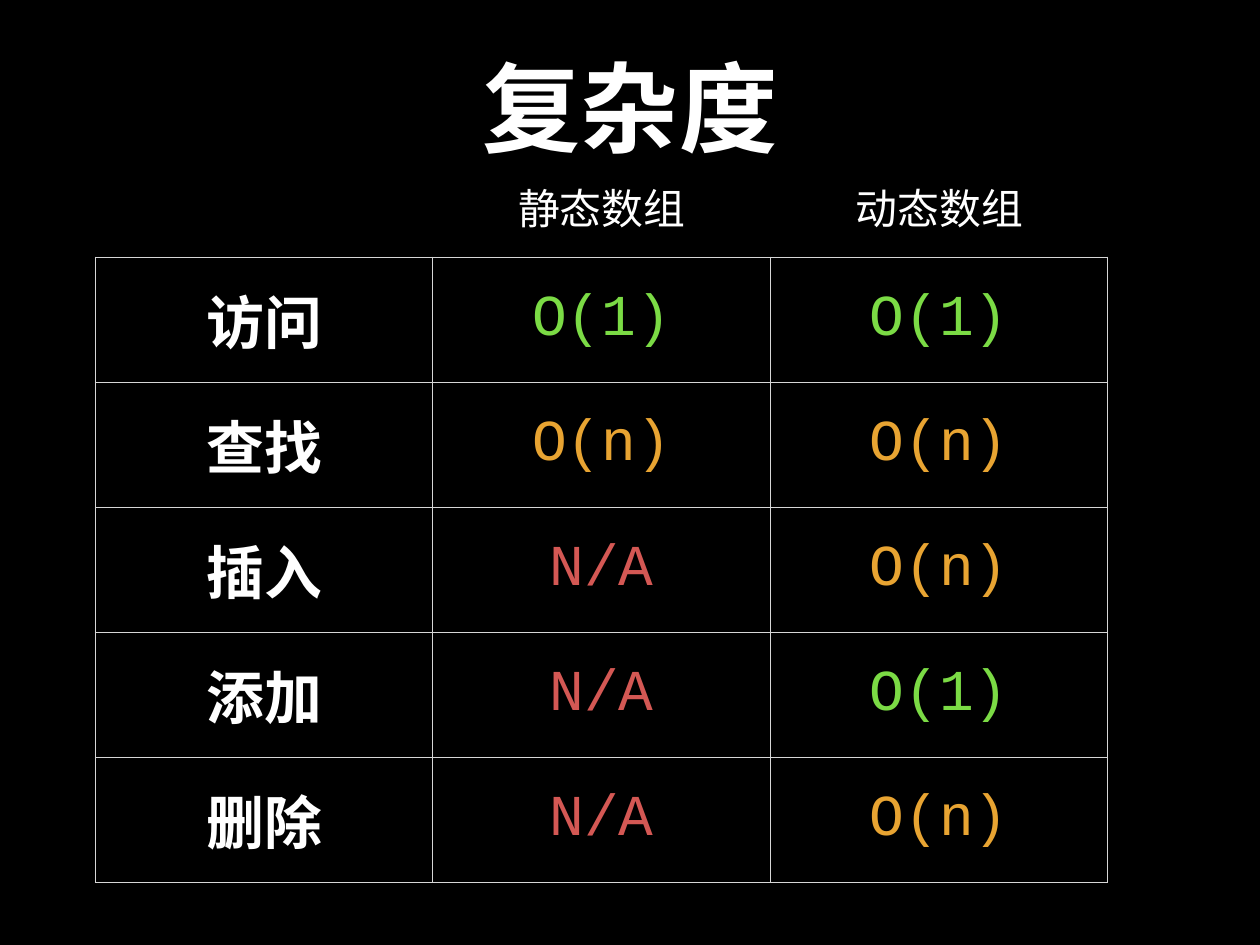
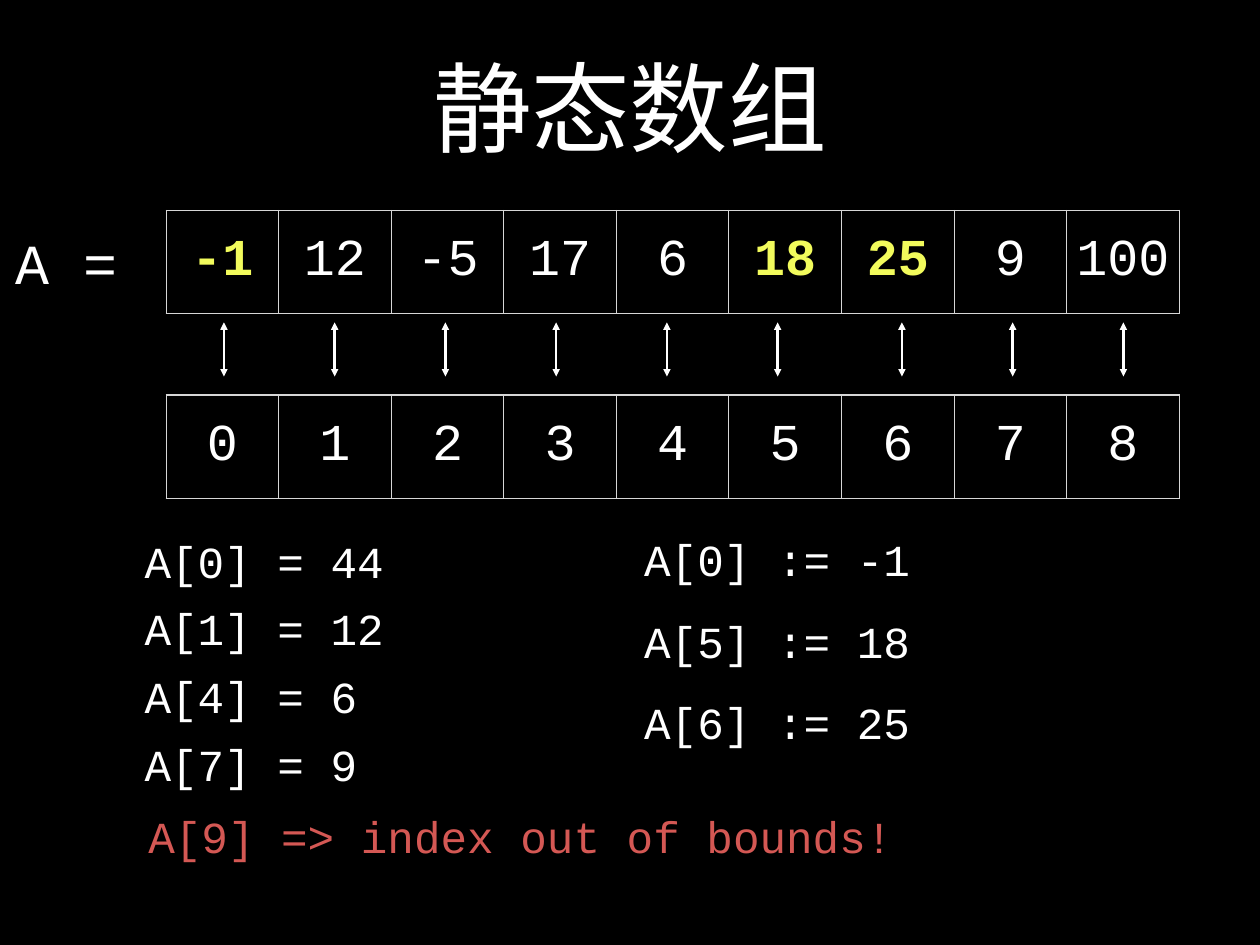
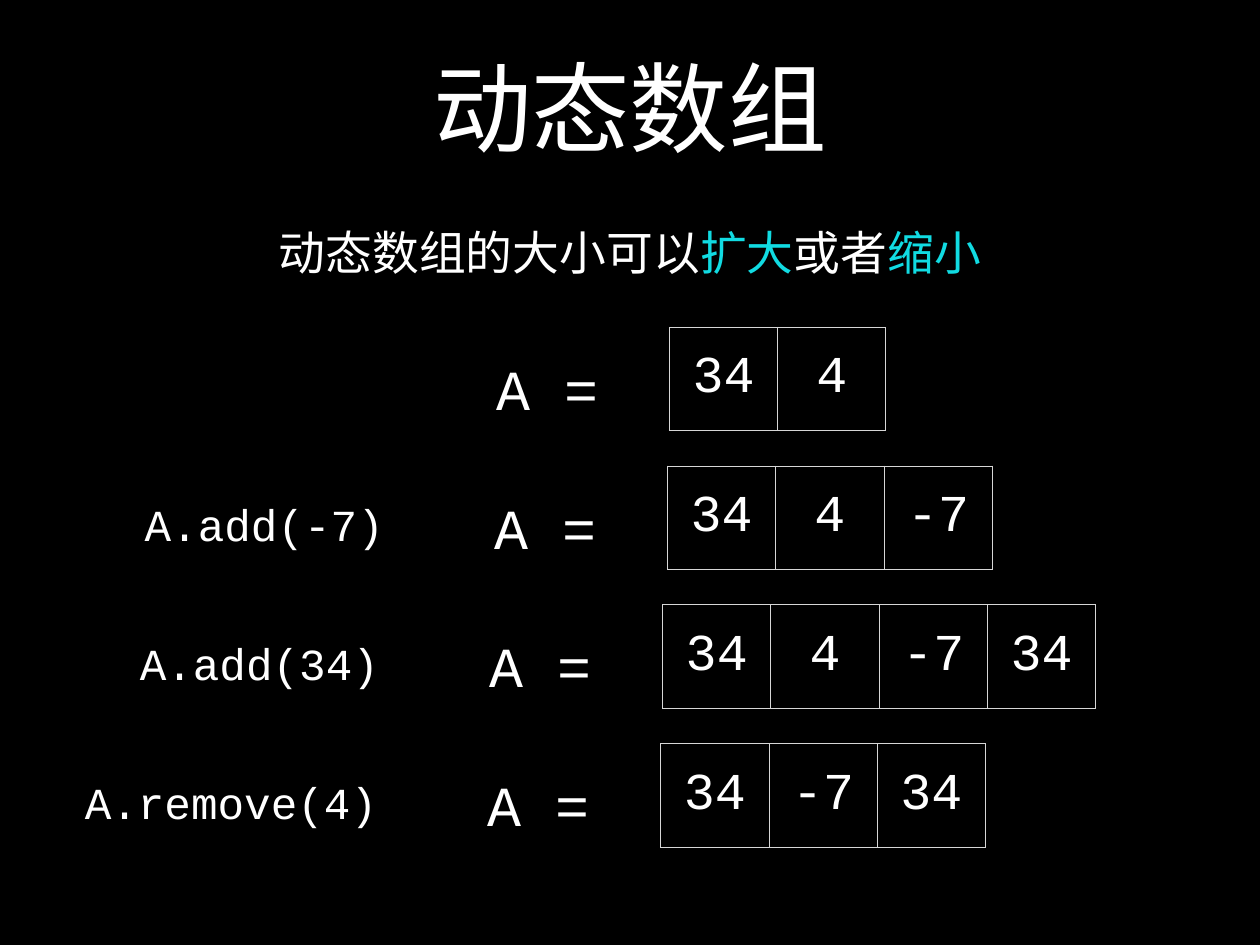
from lxml.etree import SubElement
from pptx import Presentation
from pptx.dml.color import RGBColor
from pptx.enum.lang import MSO_LANGUAGE_ID
from pptx.enum.shapes import MSO_CONNECTOR
from pptx.enum.text import MSO_ANCHOR, MSO_AUTO_SIZE, PP_ALIGN
from pptx.oxml.ns import qn
from pptx.util import Pt

FONT = "Courier New"
INSET = 4.5
BLACK, WHITE, RULE = "000000", "FFFFFF", "D6D6D6"
GREEN, ORANGE, RED = "7BDB45", "E8A432", "D45854"
YELLOW, CYAN = "F2FB5C", "11DBE2"
TITLE_BOX = (187, 28, 650, 116)
CODE, VALUE, NAME = 36, 42, 46
CELL_H = 84
COST_COLORS = {"O(1)": GREEN, "O(n)": ORANGE, "N/A": RED}


def rgb(value):
    """Turn a hex string into a colour."""
    return RGBColor.from_string(value)


def write(tf, runs, size, color=WHITE, bold=False, align=PP_ALIGN.CENTER):
    """Fill a text frame with one paragraph of (text, colour) runs or a plain string."""
    tf.word_wrap = True
    p = tf.paragraphs[0]
    p.alignment = align
    p.font.name, p.font.size, p.font.bold = FONT, Pt(size), bold
    p.font.color.rgb = rgb(color)
    for text, run_color in [(runs, color)] if isinstance(runs, str) else runs:
        r = p.add_run()
        r.text = text
        r.font.language_id = MSO_LANGUAGE_ID.SIMPLIFIED_CHINESE
        if run_color != color:
            r.font.color.rgb = rgb(run_color)


def pad(frame):
    """Give a text frame or table cell the shared margins."""
    frame.margin_left = frame.margin_right = Pt(INSET)
    frame.margin_top = frame.margin_bottom = Pt(INSET)
    frame.vertical_anchor = MSO_ANCHOR.MIDDLE


def add_text(s, box, runs, size, **style):
    """Add a text box."""
    tf = s.shapes.add_textbox(*map(Pt, box)).text_frame
    pad(tf)
    write(tf, runs, size, **style)


def add_slide(prs, title, bold=False):
    """Add a slide with the shared title style."""
    s = prs.slides.add_slide(prs.slide_layouts[5])
    sp = s.shapes.title
    sp.left, sp.top, sp.width, sp.height = map(Pt, TITLE_BOX)
    tf = sp.text_frame
    tf.auto_size = MSO_AUTO_SIZE.NONE
    pad(tf)
    write(tf, title, 80, bold=bold)
    return s


def outline(cell):
    """Draw a thin rule on all four sides of a cell."""
    tcPr = cell._tc.get_or_add_tcPr()
    for i, side in enumerate(("a:lnL", "a:lnR", "a:lnT", "a:lnB")):
        ln = tcPr.makeelement(qn(side), {"w": str(Pt(1))})
        fill = SubElement(ln, qn("a:solidFill"))
        SubElement(fill, qn("a:srgbClr"), val=RULE)
        tcPr.insert(i, ln)


def add_grid(s, box, rows, size):
    """Add a table of equal cells from rows of (text, colour, bold)."""
    x, y, w, h = box
    n_rows, n_cols = len(rows), len(rows[0])
    table = s.shapes.add_table(n_rows, n_cols, *map(Pt, box)).table
    table.first_row = table.horz_banding = False
    for column in table.columns:
        column.width = Pt(w / n_cols)
    for i, row in enumerate(rows):
        table.rows[i].height = Pt(h / n_rows)
        for j, (text, color, bold) in enumerate(row):
            cell = table.cell(i, j)
            cell.fill.background()
            outline(cell)
            pad(cell)
            write(cell.text_frame, text, size, color=color, bold=bold)


def add_array(s, box, values, marked=()):
    """Add a one-row array, with the marked positions highlighted."""
    cells = [(str(v), YELLOW if i in marked else WHITE, i in marked)
             for i, v in enumerate(values)]
    add_grid(s, box, [cells], VALUE)


def add_double_arrow(s, x, top, bottom):
    """Add a vertical arrow with a head at each end."""
    line = s.shapes.add_connector(MSO_CONNECTOR.STRAIGHT, Pt(x), Pt(top), Pt(x), Pt(bottom))
    line.line.color.rgb = rgb(WHITE)
    line.line.width = Pt(2)
    ln = line.line._get_or_add_ln()
    for end in ("a:headEnd", "a:tailEnd"):
        SubElement(ln, qn(end), type="triangle")
    SubElement(line._element.spPr, qn("a:effectLst"))


def add_code(s, x, tops, lines, color=WHITE, width=300):
    """Add code lines that share a left edge."""
    for top, line in zip(tops, lines):
        add_text(s, (x, top, width, 49), line, CODE, color=color, align=PP_ALIGN.LEFT)


def add_name(s, x, y):
    """Add the array name in front of its cells."""
    add_text(s, (x, y, 120, 62), "A =", NAME, align=PP_ALIGN.LEFT)


def complexity_slide(prs, box):
    """Compare the cost of operations on both kinds of array."""
    s = add_slide(prs, "复杂度", bold=True)
    x, y, w, h = box
    costs = {"访问": ("O(1)", "O(1)"), "查找": ("O(n)", "O(n)"), "插入": ("N/A", "O(n)"),
             "添加": ("N/A", "O(1)"), "删除": ("N/A", "O(n)")}
    rows = [[(name, WHITE, True)] + [(c, COST_COLORS[c], False) for c in pair]
            for name, pair in costs.items()]
    add_grid(s, box, rows, 47)
    for i, heading in enumerate(("静态数组", "动态数组"), 1):
        add_text(s, (x + i * w / 3, y - 65, w / 3, 49), heading, 34)


def static_slide(prs, box):
    """Show a static array, its indices, and reads and writes."""
    s = add_slide(prs, "静态数组")
    x, y, w, h = box
    values = [-1, 12, -5, 17, 6, 18, 25, 9, 100]
    add_array(s, box, values, marked=(0, 5, 6))
    add_array(s, (x, y + 150, w, h), range(len(values)))
    add_name(s, x - 127, y + 11)
    for i in range(len(values)):
        shift = 11 if i > 5 else 0
        add_double_arrow(s, x + 47 + 90 * i + shift, y + 91, y + 135)
    add_code(s, x - 22, [y + 260 + 55 * i for i in range(4)],
             ["A[0] = 44", "A[1] = 12", "A[4] = 6", "A[7] = 9"])
    add_code(s, x + 384, [y + 259 + 66 * i for i in range(3)],
             ["A[0] := -1", "A[5] := 18", "A[6] := 25"])
    add_code(s, x - 19, [y + 484], ["A[9] => index out of bounds!"], color=RED, width=650)


def dynamic_slide(prs, top, step):
    """Show a dynamic array growing and shrinking row by row."""
    s = add_slide(prs, "动态数组")
    add_text(s, (130, 178, 764, 54),
             [("动态数组的大小可以", WHITE), ("扩大", CYAN), ("或者", WHITE), ("缩小", CYAN)], 38)
    states = [("", 544, [34, 4]), ("A.add(-7)", 542.5, [34, 4, -7]),
              ("A.add(34)", 538.5, [34, 4, -7, 34]), ("A.remove(4)", 537, [34, -7, 34])]
    for i, (command, x, values) in enumerate(states):
        y = top + i * step
        add_array(s, (x, y, 88 * len(values), CELL_H), values)
        add_name(s, x - 145, y + 18)
        if command:
            add_text(s, (x - 526, y + 22.5, 300, 49), command, CODE, align=PP_ALIGN.RIGHT)


def main():
    """Build and save the deck."""
    prs = Presentation()
    prs.slide_width, prs.slide_height = Pt(1024), Pt(768)
    fill = prs.slide_master.background.fill
    fill.solid()
    fill.fore_color.rgb = rgb(BLACK)
    complexity_slide(prs, (77.5, 209, 823, 508))
    static_slide(prs, (135, 171, 823.5, CELL_H))
    dynamic_slide(prs, 266, 112.8)
    prs.save("out.pptx")


main()
